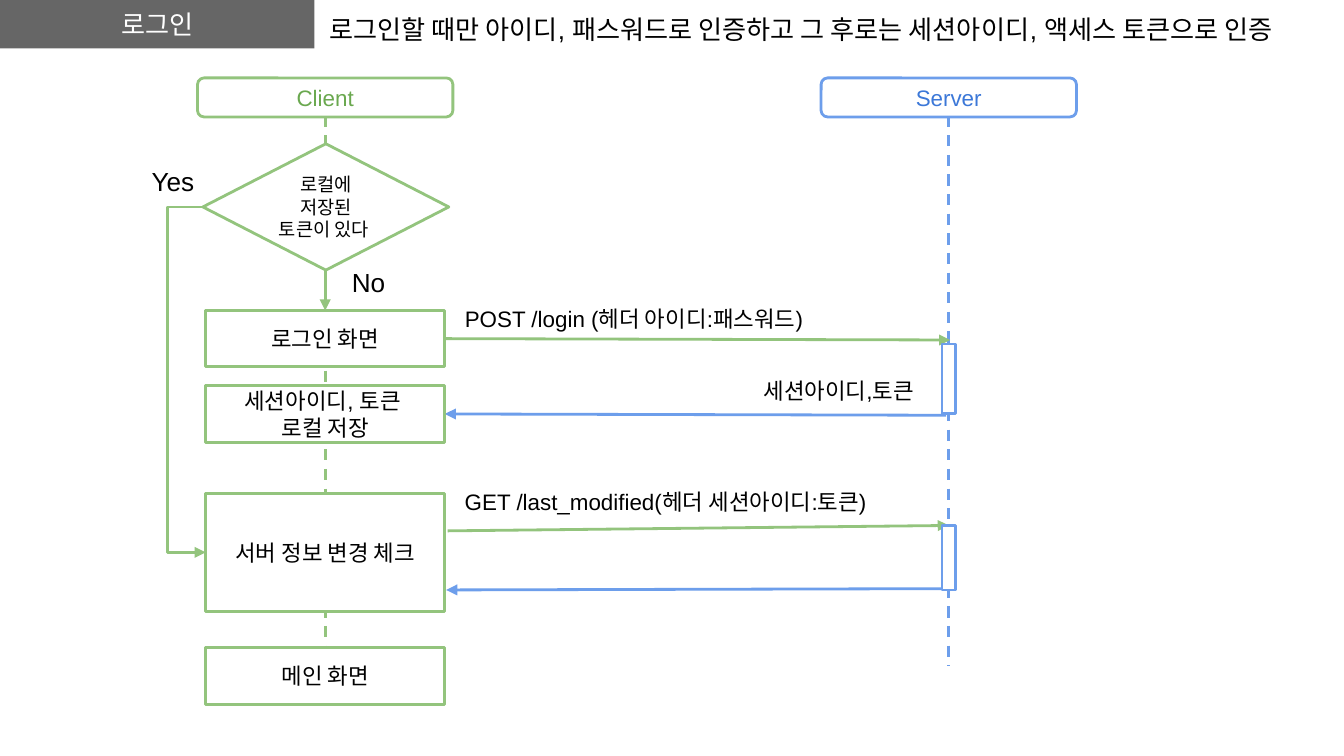
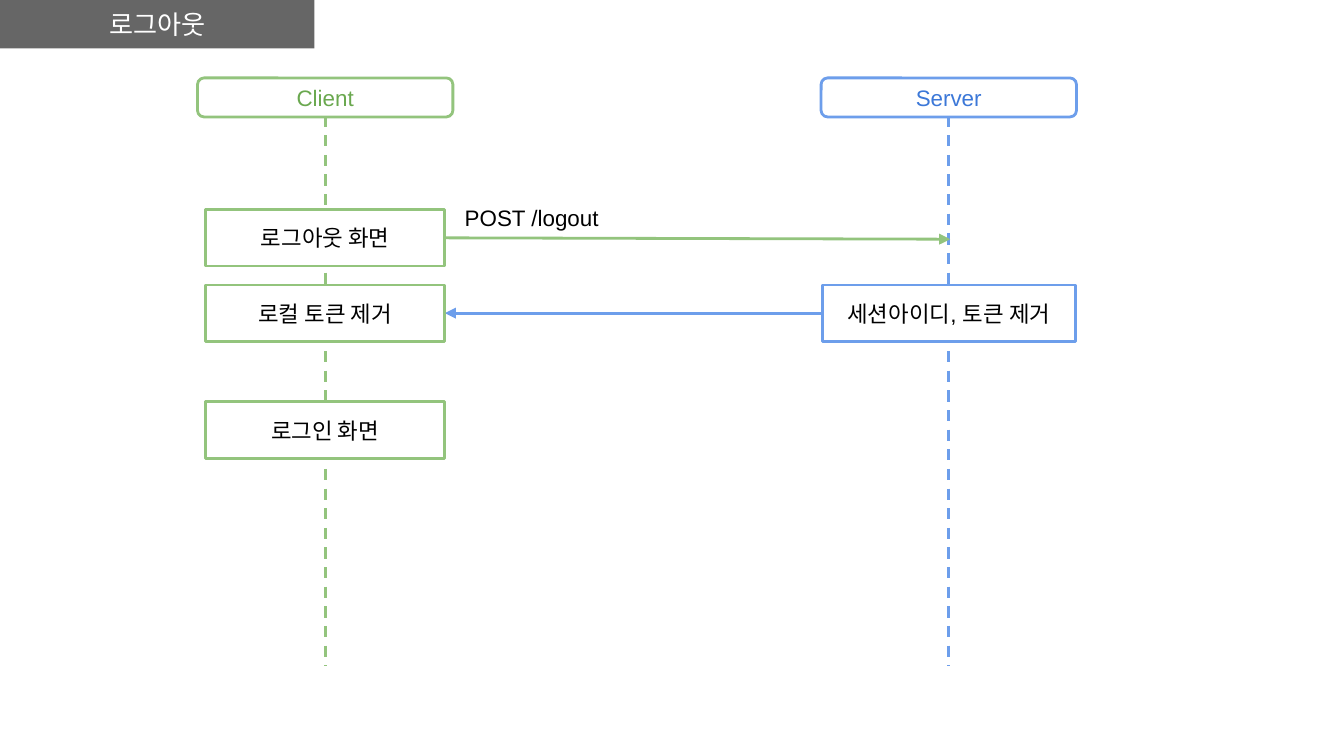
from dataclasses import dataclass

from lxml.etree import SubElement
from pptx import Presentation
from pptx.dml.color import RGBColor
from pptx.enum.dml import MSO_LINE
from pptx.enum.shapes import MSO_CONNECTOR, MSO_SHAPE
from pptx.enum.text import MSO_ANCHOR, PP_ALIGN
from pptx.oxml.ns import qn
from pptx.util import Inches, Pt


@dataclass(frozen=True)
class Theme:
    white: str = "FFFFFF"
    text: str = "000000"
    title_band: str = "666666"
    client: str = "93C47D"
    client_text: str = "6AA84F"
    server: str = "6D9EEB"
    server_text: str = "3C78D8"
    font: str = "Arial"
    title_size: int = 14
    body_size: int = 12
    small_size: int = 10
    line_width: float = 1.5
    inset: float = 0.1


@dataclass(frozen=True)
class Box:
    left: float
    top: float
    width: float
    height: float

    def inside(self, left, top, width, height):
        """Return a box whose position is measured from this one."""
        return Box(self.left + left, self.top + top, width, height)

    def point(self, x, y):
        return self.left + x, self.top + y

    def inches(self):
        return [Inches(v) for v in (self.left, self.top, self.width, self.height)]


THEME = Theme()
PAGE = Box(0, 0, 10, 10 * 9 / 16)
HEADER = Box(0, 0, PAGE.width, 0.36)
DIAGRAM = Box(1.47, 0.58, 6.54, 4.66)

# Positions below are measured from the diagram box.
CLIENT_X, SERVER_X = 0.95, 5.59
ACTOR_WIDTH, ACTOR_HEIGHT = 1.9, 0.29
LIFELINE_TOP, LIFELINE_BOTTOM = 0.28, 4.37
STEP_LEFT, STEP_WIDTH, STEP_HEIGHT = 0.06, 1.78, 0.42
STEP_RIGHT = STEP_LEFT + STEP_WIDTH
LABEL_LEFT, LABEL_HEIGHT = 1.89, 0.29
BAR_WIDTH = 0.1


def colour(value):
    return RGBColor.from_string(value)


def write_text(shape, text, size, text_colour, align, anchor):
    frame = shape.text_frame
    frame.word_wrap = True
    frame.vertical_anchor = anchor
    frame.margin_left = frame.margin_right = Inches(THEME.inset)
    frame.margin_top = frame.margin_bottom = Inches(THEME.inset)
    frame.text = text
    for paragraph in frame.paragraphs:
        paragraph.alignment = align
        paragraph.font.name = THEME.font
        paragraph.font.size = Pt(size)
        paragraph.font.color.rgb = colour(text_colour)


def add_block(slide, box, text="", line=None, fill=THEME.white, size=THEME.body_size,
              text_colour=THEME.text, kind=MSO_SHAPE.RECTANGLE):
    shape = slide.shapes.add_shape(kind, *box.inches())
    shape.shadow.inherit = False
    shape.fill.solid()
    shape.fill.fore_color.rgb = colour(fill)
    if line:
        shape.line.color.rgb = colour(line)
        shape.line.width = Pt(THEME.line_width)
    else:
        shape.line.fill.background()
    if text:
        write_text(shape, text, size, text_colour, PP_ALIGN.CENTER, MSO_ANCHOR.MIDDLE)


def add_label(slide, box, text, size=THEME.body_size):
    shape = slide.shapes.add_textbox(*box.inches())
    write_text(shape, text, size, THEME.text, PP_ALIGN.LEFT, MSO_ANCHOR.TOP)


def add_line(slide, start, end, line, kind=MSO_CONNECTOR.STRAIGHT, dashed=False, arrow=True):
    points = [Inches(v) for v in (*start, *end)]
    connector = slide.shapes.add_connector(kind, *points)
    connector.line.color.rgb = colour(line)
    connector.line.width = Pt(THEME.line_width)
    if dashed:
        connector.line.dash_style = MSO_LINE.DASH
    properties = connector._element.spPr
    if arrow:
        SubElement(properties.find(qn("a:ln")), qn("a:tailEnd"), type="triangle")
    SubElement(properties, qn("a:effectLst"))
    return connector


def add_detour(slide, start, end, turn_x, line):
    """Draw an elbow arrow whose vertical part runs at turn_x."""
    connector = add_line(slide, start, end, line, kind=MSO_CONNECTOR.ELBOW)
    ratio = (turn_x - start[0]) / (end[0] - start[0])
    geometry = connector._element.spPr.find(qn("a:prstGeom"))
    SubElement(geometry.find(qn("a:avLst")), qn("a:gd"),
               name="adj1", fmla=f"val {round(ratio * 100000)}")


def draw_header(slide, box, title, summary=None):
    add_block(slide, box.inside(0, 0, 2.34, box.height), title,
              fill=THEME.title_band, size=THEME.title_size, text_colour=THEME.white)
    if summary:
        add_label(slide, box.inside(2.35, 0, box.width - 2.35, box.height),
                  summary, THEME.title_size)


def draw_actors(slide, box):
    actors = (
        ("Client", CLIENT_X, THEME.client, THEME.client_text),
        ("Server", SERVER_X, THEME.server, THEME.server_text),
    )
    for name, x, line, text_colour in actors:
        add_line(slide, box.point(x, LIFELINE_TOP), box.point(x, LIFELINE_BOTTOM),
                 line, dashed=True, arrow=False)
        add_block(slide, box.inside(x - ACTOR_WIDTH / 2, 0, ACTOR_WIDTH, ACTOR_HEIGHT),
                  name, line, text_colour=text_colour, kind=MSO_SHAPE.ROUNDED_RECTANGLE)


def draw_messages(slide, box, messages):
    for start, end, line in messages:
        add_line(slide, box.point(*start), box.point(*end), line)


def draw_client_steps(slide, box, steps):
    for text, top, height in steps:
        add_block(slide, box.inside(STEP_LEFT, top, STEP_WIDTH, height), text, THEME.client)


def draw_request_labels(slide, box, labels):
    for text, top, width in labels:
        add_label(slide, box.inside(LABEL_LEFT, top, width, LABEL_HEIGHT), text)


def draw_token_decision(slide, box):
    add_block(slide, box.inside(0.04, 0.49, 1.83, 0.94), "로컬에 저장된 토큰이 있다 ",
              THEME.client, size=THEME.small_size, kind=MSO_SHAPE.DIAMOND)
    add_line(slide, box.point(CLIENT_X, 1.43), box.point(CLIENT_X, 1.73), THEME.client)
    add_detour(slide, box.point(0.04, 0.96), box.point(STEP_LEFT, 3.53),
               box.left - 0.22, THEME.client)
    for text, left, top in (("No", 1.05, 1.3), ("Yes", -0.44, 0.55)):
        add_label(slide, box.inside(left, top, 0.9, LABEL_HEIGHT), text, THEME.title_size)


def draw_login_flow(slide, box):
    draw_actors(slide, box)
    draw_messages(slide, box, (
        ((STEP_RIGHT, 1.94), (5.6, 1.95), THEME.client),
        ((5.57, 2.51), (STEP_RIGHT, 2.5), THEME.server),
        ((1.86, 3.37), (SERVER_X, 3.33), THEME.client),
        ((5.6, 3.8), (1.85, 3.81), THEME.server),
    ))
    draw_client_steps(slide, box, (
        ("로그인 화면", 1.73, STEP_HEIGHT),
        ("세션아이디, 토큰 \n로컬 저장", 2.29, STEP_HEIGHT),
        ("서버 정보 변경 체크", 3.09, 0.88),
        ("메인 화면", 4.24, STEP_HEIGHT),
    ))
    draw_token_decision(slide, box)
    draw_request_labels(slide, box, (
        ("POST /login (헤더 아이디:패스워드)", 1.59, 2.99),
        ("GET /last_modified(헤더 세션아이디:토큰)", 2.95, 3.54),
    ))
    add_block(slide, box.inside(3.83, 2.17, 1.88, 0.31), "세션아이디,토큰")
    for top, height in ((1.98, 0.52), (3.33, 0.48)):
        add_block(slide, box.inside(SERVER_X - BAR_WIDTH / 2, top, BAR_WIDTH, height),
                  line=THEME.server)


def draw_logout_flow(slide, box):
    draw_actors(slide, box)
    draw_messages(slide, box, (
        ((STEP_RIGHT, 1.19), (5.6, 1.2), THEME.client),
        ((4.65, 1.75), (STEP_RIGHT, 1.75), THEME.server),
    ))
    draw_client_steps(slide, box, (
        ("로그아웃 화면", 0.98, STEP_HEIGHT),
        ("로컬 토큰 제거", 1.54, STEP_HEIGHT),
        ("로그인 화면", 2.41, STEP_HEIGHT),
    ))
    add_block(slide, box.inside(4.65, 1.54, 1.88, STEP_HEIGHT),
              "세션아이디, 토큰 제거", THEME.server)
    draw_request_labels(slide, box, (("POST /logout", 0.84, 2.03),))


def main():
    presentation = Presentation()
    presentation.slide_width = Inches(PAGE.width)
    presentation.slide_height = Inches(PAGE.height)
    pages = (
        ("로그인",
         "로그인할 때만 아이디, 패스워드로 인증하고 그 후로는 세션아이디, 액세스 토큰으로 인증",
         draw_login_flow),
        ("로그아웃", None, draw_logout_flow),
    )
    for title, summary, draw_flow in pages:
        slide = presentation.slides.add_slide(presentation.slide_layouts[6])
        draw_header(slide, HEADER, title, summary)
        draw_flow(slide, DIAGRAM)
    presentation.save("out.pptx")


if __name__ == "__main__":
    main()
